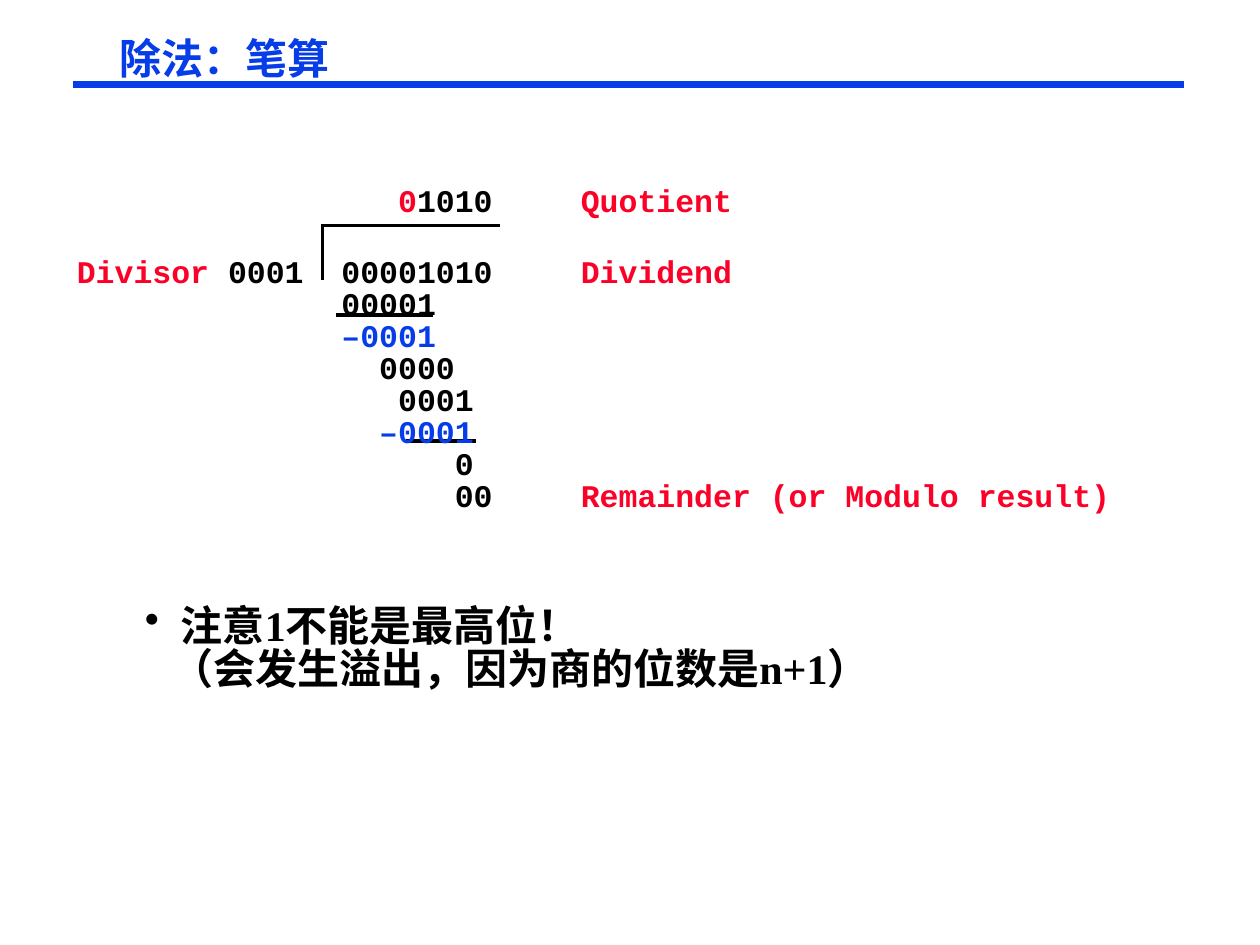
from pptx import Presentation
from pptx.util import Inches, Pt
from pptx.dml.color import RGBColor
from pptx.enum.shapes import MSO_CONNECTOR
from pptx.oxml.ns import qn
from lxml.etree import SubElement

BLUE = RGBColor(0x06, 0x3D, 0xE8)
RED = RGBColor(0xFC, 0x01, 0x28)
BLACK = RGBColor(0, 0, 0)
CHAR = 0.15
LABEL = 4

prs = Presentation()
prs.slide_width, prs.slide_height = Inches(10), Inches(7.5)
s = prs.slides.add_slide(prs.slide_layouts[6])


def add_text(x, y, w, h):
    tf = s.shapes.add_textbox(Inches(x), Inches(y), Inches(w), Inches(h)).text_frame
    fmt = {"word_wrap": True, "margin_left": Inches(0.07), "margin_right": Inches(0.07),
           "margin_top": Inches(0.06), "margin_bottom": Inches(0.03)}
    for name, value in fmt.items():
        setattr(tf, name, value)
    return tf


def add_runs(p, runs, font, size, spacing, before=0):
    for name, value in {"line_spacing": Pt(spacing), "space_before": Pt(before)}.items():
        setattr(p, name, value)
    for text, color in runs:
        r = p.add_run()
        r.text = text
        for name, value in {"name": font, "size": Pt(size), "bold": True}.items():
            setattr(r.font, name, value)
        r.font.color.rgb = color


lines = [
    (0.58, 0.67, 9.4, 0.67, BLUE, 3.75),
    (2.56, 2.22, 2.56, 1.78, BLACK, 2),
    (2.56, 1.79, 3.97, 1.79, BLACK, 2),
    (2.67, 2.5, 3.44, 2.5, BLACK, 2),
    (3.22, 3.5, 3.78, 3.5, BLACK, 2),
]
for x1, y1, x2, y2, color, width in lines:
    c = s.shapes.add_connector(MSO_CONNECTOR.STRAIGHT, Inches(x1), Inches(y1), Inches(x2), Inches(y2))
    c.line.color.rgb = color
    c.line.width = Pt(width)
    SubElement(c._element.spPr, qn("a:effectLst"))

tf = add_text(0.88, 0.25, 1.83, 0.41)
add_runs(tf.paragraphs[0], [("除法：笔算", BLUE)], "Arial", 24, 25)

rows = [
    (17, 22.5, [("\t", BLACK), ("0", RED), ("1010\t", BLACK), ("Quotient", RED)]),
    (14, 22.5, [("Divisor", RED), (" 0001\t00001010\t", BLACK), ("Dividend", RED)]),
    (14, 0, [("\t00001", BLACK)]),
    (14, 0, [("\t–0001", BLUE)]),
    (16, 0, [("\t0000", BLACK)]),
    (17, 0, [("\t0001", BLACK)]),
    (16, 0, [("\t–0001", BLUE)]),
    (20, 0, [("\t0", BLACK)]),
    (20, 0, [("\t00\t", BLACK), ("Remainder (or Modulo result)", RED)]),
]
tf = add_text(0.54, 1.42, 8.96, 4.09)
p = tf.paragraphs[0]
for column, before, runs in rows:
    add_runs(p, runs, "Courier New", 18, 18.3, before)
    tabs = SubElement(p._p.get_or_add_pPr(), qn("a:tabLst"))
    for pos in (column * CHAR, LABEL):
        SubElement(tabs, qn("a:tab"), pos=str(Inches(pos)), algn="l")
    p = tf.add_paragraph()

add_runs(p, [(" 注意1不能是最高位！", BLACK)], "Times New Roman", 24, 24.6, 53)
p.add_line_break()
add_runs(p, [("（会发生溢出，因为商的位数是n+1）", BLACK)], "Times New Roman", 24, 24.6, 53)
pPr = p._p.get_or_add_pPr()
pPr.set("marL", str(Inches(0.75)))
pPr.set("indent", str(Inches(-0.21)))
SubElement(pPr, qn("a:buChar"), char="•")

prs.save("out.pptx")
